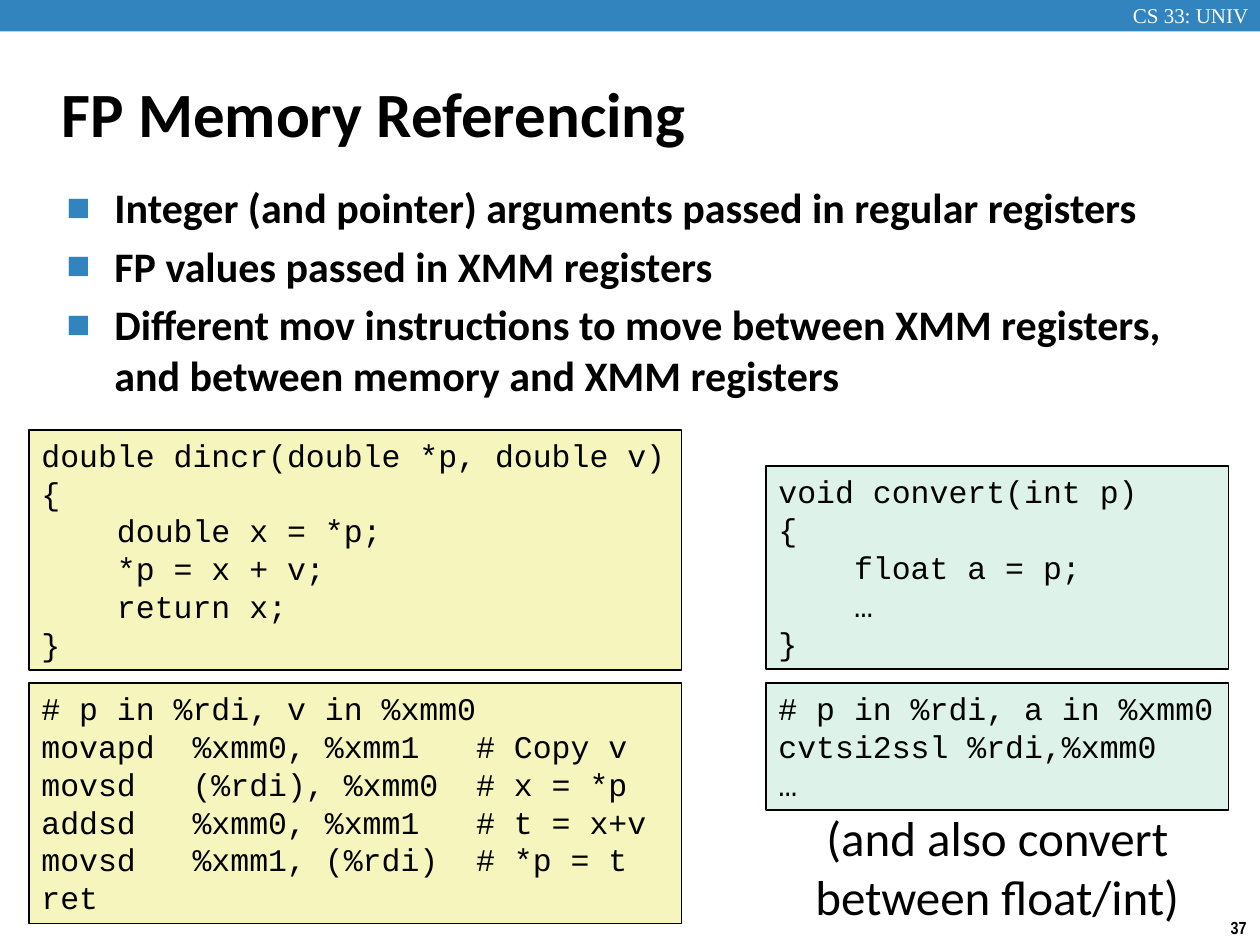
from lxml.etree import SubElement
from pptx import Presentation
from pptx.dml.color import RGBColor
from pptx.enum.shapes import MSO_SHAPE as Shape
from pptx.enum.text import MSO_ANCHOR as Anchor, PP_ALIGN as Align
from pptx.oxml.ns import qn
from pptx.util import Inches, Pt

WIDTH, HEIGHT = 10, 7.5
BLACK, WHITE, BLUE = "000000", "FFFFFF", "3284BF"
YELLOW, GREEN = "F6F5BD", "DDF3EA"
LEFT_COLUMN, RIGHT_COLUMN = (0.23, 5.18), (6.08, 3.67)
ASSEMBLY_TOP = 5.42
CODE_LINE, CODE_PADDING = 0.3, 0.11

BULLETS = [
    "Integer (and pointer) arguments passed in regular registers",
    "FP values passed in XMM registers",
    "Different mov instructions to move between XMM registers, "
    "and between memory and XMM registers",
]
INCREMENT_SOURCE = [
    "double dincr(double *p, double v)",
    "{",
    "    double x = *p;",
    "    *p = x + v;",
    "    return x;",
    "}",
]
INCREMENT_ASSEMBLY = [
    "# p in %rdi, v in %xmm0",
    "movapd  %xmm0, %xmm1   # Copy v",
    "movsd   (%rdi), %xmm0  # x = *p",
    "addsd   %xmm0, %xmm1   # t = x+v",
    "movsd   %xmm1, (%rdi)  # *p = t",
    "ret",
]
CONVERT_SOURCE = ["void convert(int p)", "{", "    float a = p;", "    …", "}"]
CONVERT_ASSEMBLY = ["# p in %rdi, a in %xmm0", "cvtsi2ssl %rdi,%xmm0", "…"]


def color(value):
    return RGBColor.from_string(value)


def write(box, lines, font, size, ink=BLACK, bold=False, align=Align.LEFT,
          anchor=Anchor.TOP, wrap=True):
    frame = box.text_frame
    frame.word_wrap = wrap
    frame.vertical_anchor = anchor
    frame.text = "\n".join(lines)
    for para in frame.paragraphs:
        para.alignment = align
        para.font.name = font
        para.font.size = Pt(size)
        para.font.bold = bold
        para.font.color.rgb = color(ink)


def add_text(page, area, lines, font, size, **style):
    box = page.shapes.add_textbox(*map(Inches, area))
    write(box, lines, font, size, **style)
    return box


def add_panel(page, area, fill, outline=None):
    panel = page.shapes.add_shape(Shape.RECTANGLE, *map(Inches, area))
    panel.shadow.inherit = False
    panel.fill.solid()
    panel.fill.fore_color.rgb = color(fill)
    if outline:
        panel.line.color.rgb = color(outline)
        panel.line.width = Pt(1)
    else:
        panel.line.fill.background()
    return panel


def add_code(page, column, top, lines, fill):
    left, width = column
    height = len(lines) * CODE_LINE + CODE_PADDING
    panel = add_panel(page, (left, top, width, height), fill, BLACK)
    write(panel, lines, "Courier New", 18)


def add_bullet(para):
    para.space_before = Pt(4.8)
    props = para._p.get_or_add_pPr()
    props.set("marL", str(Inches(0.38)))
    props.set("indent", str(-Inches(0.38)))
    tint = SubElement(props, qn("a:buClr"))
    SubElement(tint, qn("a:srgbClr"), val=BLUE)
    SubElement(props, qn("a:buSzPct"), val="60000")
    SubElement(props, qn("a:buFont"), typeface="Calibri")
    SubElement(props, qn("a:buChar"), char="■")
    defaults = props.find(qn("a:defRPr"))
    if defaults is not None:
        props.append(defaults)


def add_header(page):
    add_panel(page, (0, 0, WIDTH, HEIGHT / 30), BLUE)
    add_text(page, (8.83, -0.03, 1.24, 0.3), ["CS 33: UNIV"],
             "Times New Roman", 12, ink=WHITE, align=Align.CENTER)
    add_text(page, (0.39, 0.48, 8.3, 0.83), ["FP Memory Referencing"],
             "Calibri", 36, bold=True, anchor=Anchor.MIDDLE)


def add_points(page):
    box = add_text(page, (0.43, 1.39, 9.21, 2.13), BULLETS,
                   "Calibri", 24, bold=True)
    for para in box.text_frame.paragraphs:
        add_bullet(para)


def main():
    deck = Presentation()
    deck.slide_width, deck.slide_height = Inches(WIDTH), Inches(HEIGHT)
    page = deck.slides.add_slide(deck.slide_layouts[6])
    add_header(page)
    add_points(page)
    add_code(page, LEFT_COLUMN, 3.41, INCREMENT_SOURCE, YELLOW)
    add_code(page, LEFT_COLUMN, ASSEMBLY_TOP, INCREMENT_ASSEMBLY, YELLOW)
    add_code(page, RIGHT_COLUMN, 3.7, CONVERT_SOURCE, GREEN)
    add_code(page, RIGHT_COLUMN, ASSEMBLY_TOP, CONVERT_ASSEMBLY, GREEN)
    add_text(page, (6.25, 6.36, 3.33, 1.04),
             ["(and also convert between float/int)"],
             "Calibri", 28, align=Align.CENTER)
    add_text(page, (9.66, 7.23, 0.34, 0.27), ["37"], "Arial Narrow", 10,
             bold=True, align=Align.CENTER, wrap=False)
    deck.save("out.pptx")


main()
